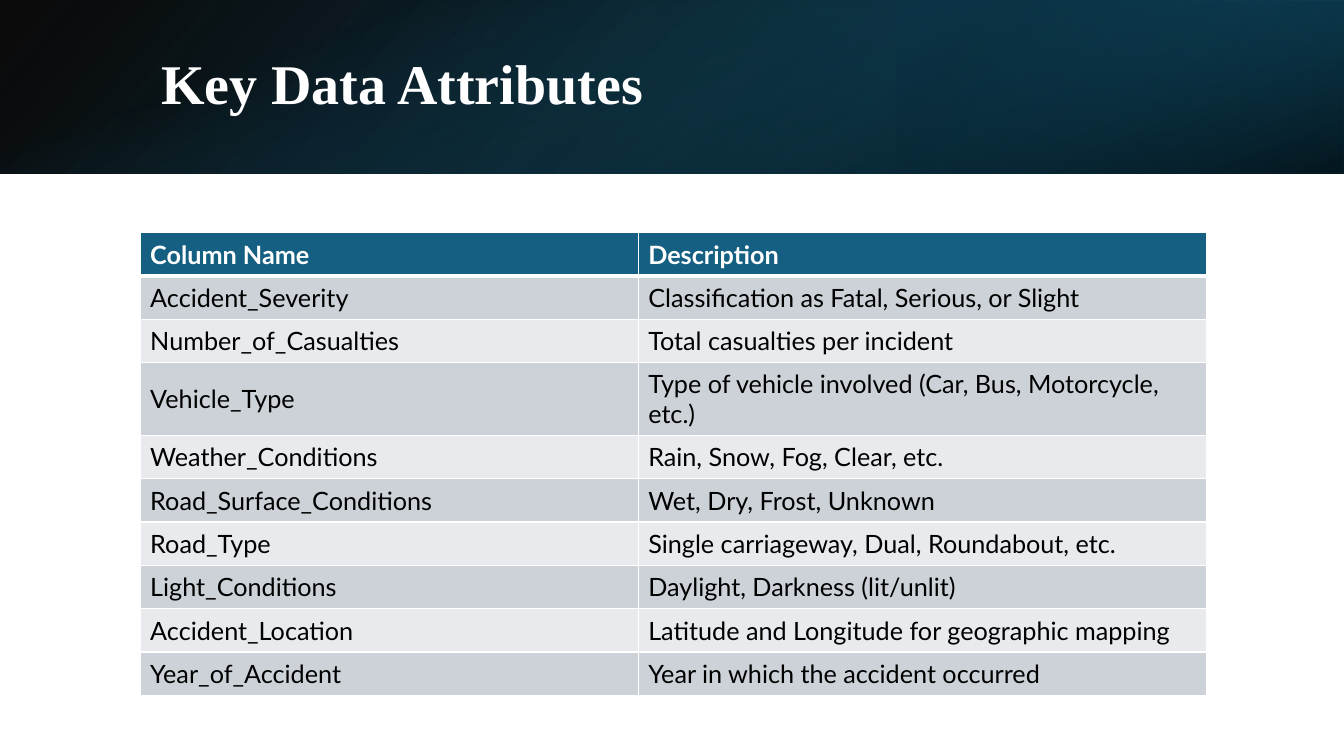
from pptx import Presentation
from pptx.dml.color import RGBColor
from pptx.enum.shapes import MSO_SHAPE
from pptx.enum.text import MSO_ANCHOR
from pptx.oxml import parse_xml
from pptx.oxml.ns import nsdecls, qn
from pptx.util import Inches, Pt

RECTANGLE = MSO_SHAPE.RECTANGLE
MIDDLE = MSO_ANCHOR.MIDDLE

WHITE, BLACK, TEAL = "FFFFFF", "000000", "156082"
BANDS = ["CCD2D8", "E8EAED"]
BANNER_HEIGHT = 1.72
COLUMN_WIDTHS = [4.94, 5.64]
ROW_HEIGHT, TALL_ROW_HEIGHT = 0.43, 0.72
TALL_ROW = 3

ATTRIBUTES = [
    ("Column Name", "Description"),
    ("Accident_Severity", "Classification as Fatal, Serious, or Slight"),
    ("Number_of_Casualties", "Total casualties per incident"),
    ("Vehicle_Type", "Type of vehicle involved (Car, Bus, Motorcycle, etc.)"),
    ("Weather_Conditions", "Rain, Snow, Fog, Clear, etc."),
    ("Road_Surface_Conditions", "Wet, Dry, Frost, Unknown"),
    ("Road_Type", "Single carriageway, Dual, Roundabout, etc."),
    ("Light_Conditions", "Daylight, Darkness (lit/unlit)"),
    ("Accident_Location", "Latitude and Longitude for geographic mapping"),
    ("Year_of_Accident", "Year in which the accident occurred"),
]


def rgb(color):
    return RGBColor.from_string(color)


def add_run(paragraph, text, font_name, size, color, bold):
    run = paragraph.add_run()
    run.text = text
    run.font.name = font_name
    run.font.size = Pt(size)
    run.font.bold = bold
    run.font.color.rgb = rgb(color)


def add_gradient_layer(slide, box, stops, angle, rotation=0, flipped=False):
    """Add a rectangle whose stops are (percent, colour, opacity percent); angle runs clockwise."""
    layer = slide.shapes.add_shape(RECTANGLE, *map(Inches, box))
    layer.shadow.inherit = False
    layer.line.fill.background()
    layer.rotation = rotation
    if flipped:
        layer._element.spPr.find(qn("a:xfrm")).set("flipH", "1")
    layer.fill.gradient()
    layer.fill.gradient_angle = 360 - angle
    for stop, (percent, color, _) in zip(layer.fill.gradient_stops, stops):
        stop.position = percent / 100
        stop.color.rgb = rgb(color)
    colors = layer._element.spPr.iter(qn("a:srgbClr"))
    for color_element, (_, _, opacity) in zip(colors, stops):
        color_element.append(
            parse_xml(f'<a:alpha {nsdecls("a")} val="{opacity * 1000}"/>'))


def add_banner(slide):
    add_gradient_layer(slide, (0, 0, 13.33, BANNER_HEIGHT),
                       [(0, BLACK, 96), (100, "104862", 100)], 140, flipped=True)
    add_gradient_layer(slide, (8.89, 0, 4.44, BANNER_HEIGHT),
                       [(19, "0B3041", 68), (100, TEAL, 79)], 320, 180, True)
    add_gradient_layer(slide, (5.8, -5.8, BANNER_HEIGHT, 13.33),
                       [(23, TEAL, 0), (99, BLACK, 74)], 340, 90)


def add_title(slide, text):
    title = slide.shapes.add_textbox(Inches(1.5), Inches(0.38), Inches(10.98), Inches(0.96))
    frame = title.text_frame
    frame.word_wrap = True
    frame.vertical_anchor = MIDDLE
    frame.paragraphs[0].line_spacing = 0.9
    add_run(frame.paragraphs[0], text, "Times New Roman", 40, WHITE, True)


def set_borders(cell, top, bottom):
    """Draw white cell borders: 1 pt at the sides, the given points above and below."""
    properties = cell._tc.get_or_add_tcPr()
    for index, (side, width) in enumerate(zip("LRTB", (1, 1, top, bottom))):
        properties.insert(index, parse_xml(
            f'<a:ln{side} {nsdecls("a")} w="{Pt(width)}"><a:solidFill>'
            f'<a:srgbClr val="{WHITE}"/></a:solidFill></a:ln{side}>'))


def add_attribute_table(slide):
    heights = [ROW_HEIGHT] * len(ATTRIBUTES)
    heights[TALL_ROW] = TALL_ROW_HEIGHT
    table = slide.shapes.add_table(
        len(ATTRIBUTES), len(COLUMN_WIDTHS), Inches(1.39), Inches(2.31),
        Inches(sum(COLUMN_WIDTHS)), Inches(sum(heights))).table
    table.horz_banding = False
    for column, width in zip(table.columns, COLUMN_WIDTHS):
        column.width = Inches(width)
    for index, (row, height, texts) in enumerate(zip(table.rows, heights, ATTRIBUTES)):
        row.height = Inches(height)
        is_header = index == 0
        for cell, text in zip(row.cells, texts):
            cell.vertical_anchor = MIDDLE
            cell.fill.solid()
            cell.fill.fore_color.rgb = rgb(TEAL if is_header else BANDS[(index - 1) % 2])
            set_borders(cell, 3 if index == 1 else 1, 3 if is_header else 1)
            add_run(cell.text_frame.paragraphs[0], text, "Lato", 18,
                    WHITE if is_header else BLACK, is_header)


def main():
    presentation = Presentation()
    presentation.slide_width = Inches(13.33)
    presentation.slide_height = Inches(7.5)
    slide = presentation.slides.add_slide(presentation.slide_layouts[6])
    add_banner(slide)
    add_title(slide, "Key Data Attributes")
    add_attribute_table(slide)
    presentation.save("out.pptx")


if __name__ == "__main__":
    main()
